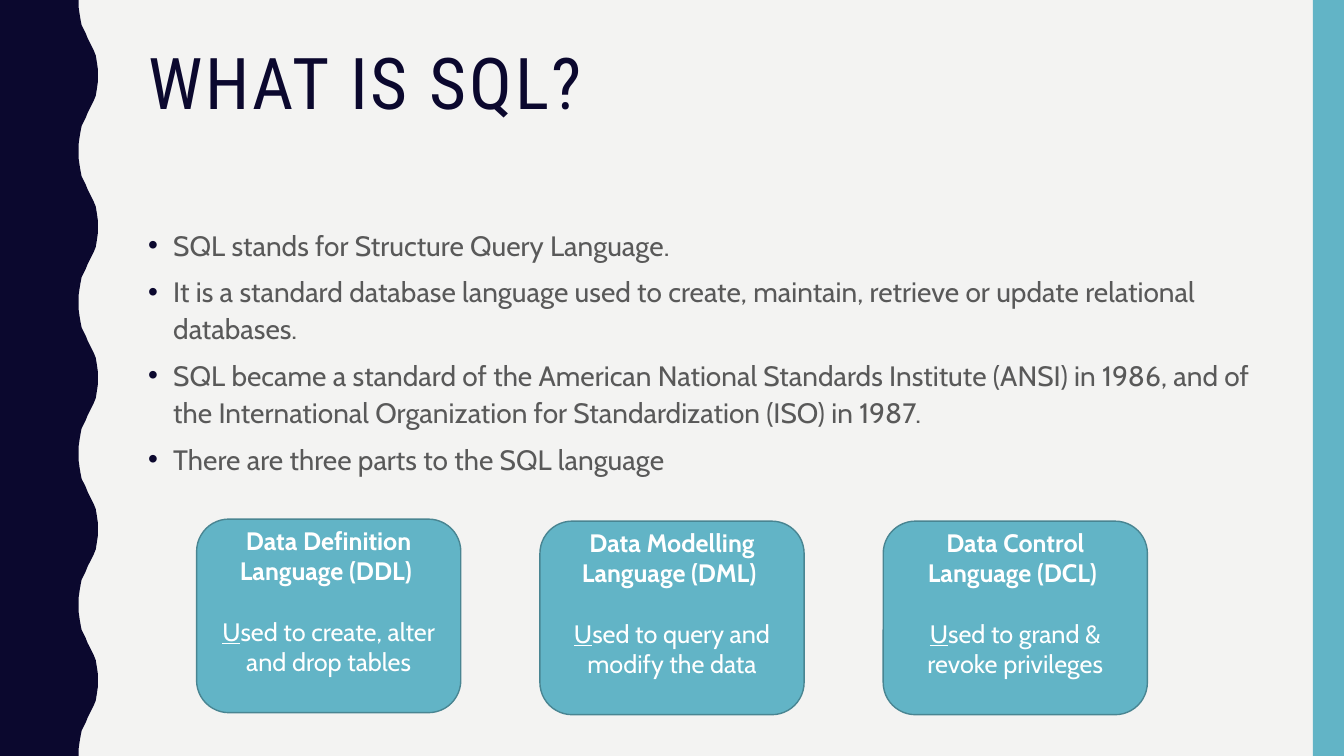
from collections import namedtuple

from lxml.etree import SubElement
from pptx import Presentation
from pptx.dml.color import RGBColor
from pptx.enum.shapes import MSO_SHAPE as SHAPE
from pptx.enum.text import MSO_ANCHOR as ANCHOR, PP_ALIGN as ALIGN
from pptx.oxml.ns import qn
from pptx.util import Inches, Pt

# Grid of square cells, 133.3 columns by 75 rows
CELL = 0.1
COLS, ROWS = 133.3, 75
Box = namedtuple("Box", "x y w h")

COLORS = {"paper": "F3F3F2", "navy": "0B082E", "teal": "62B4C6",
          "edge": "498592", "gray": "595959", "white": "FFFFFF"}
HEAD_FONT, BODY_FONT = "Roboto Condensed", "Cabin"

BULLETS = [
    "SQL stands for Structure Query Language.",
    "It is a standard database language used to create, maintain, "
    "retrieve or update relational databases.",
    "SQL became a standard of the American National Standards Institute "
    "(ANSI) in 1986, and of the International Organization for "
    "Standardization (ISO) in 1987.",
    "There are three parts to the SQL language",
]
# Name, use, and row offset of each card
PARTS = [
    ("Data Definition Language (DDL) ", "sed to create, alter and drop tables", 0),
    ("Data Modelling Language (DML) ", "sed to query and modify the data", 0.2),
    ("Data Control Language (DCL) ", "sed to grand & revoke privileges", 0.2),
]
# One half wave as (column, row); its mirror completes the wave
HALF_WAVE = [(7.8, 0), (7.8, 0.7), (7.9, 1.4), (8, 2), (8.1, 2.5), (8.3, 2.9),
             (8.5, 3.3), (8.7, 3.8), (8.9, 4.2), (9.1, 4.6), (9.3, 5),
             (9.5, 5.5), (9.6, 6.1), (9.7, 6.8), (9.7, 7.5)]
WAVE_ROWS = 15


def grid(n):
    return Inches(n * CELL)


def rgb(name):
    return RGBColor.from_string(COLORS[name])


def place(sp, box):
    sp.left, sp.top, sp.width, sp.height = map(grid, box)


def paint(sp, fill, line=None):
    sp.shadow.inherit = False
    sp.fill.solid()
    sp.fill.fore_color.rgb = rgb(fill)
    if line:
        sp.line.color.rgb = rgb(line)
        sp.line.width = Pt(1)
    else:
        sp.line.fill.background()


def add_run(p, text, size, color, font=BODY_FONT, bold=False, underline=False):
    r = p.add_run()
    r.text = text
    f = r.font
    f.size, f.name, f.bold, f.underline = Pt(size), font, bold, underline
    f.color.rgb = rgb(color)
    return r


def add_bullet(p):
    pPr = p._p.get_or_add_pPr()
    pPr.set("marL", str(Inches(0.25)))
    pPr.set("indent", str(Inches(-0.25)))
    color = SubElement(pPr, qn("a:buClr"))
    SubElement(color, qn("a:srgbClr"), val=COLORS["navy"])
    SubElement(pPr, qn("a:buFont"), typeface="Arial")
    SubElement(pPr, qn("a:buChar"), char="•")


def wavy_edge(s, box):
    mirror = [(x, WAVE_ROWS - y) for x, y in HALF_WAVE[-2::-1]]
    wave = HALF_WAVE + mirror
    points = [(box.x + x, box.y + n * WAVE_ROWS + y)
              for n in range(int(box.h / WAVE_ROWS)) for x, y in wave]
    points.append((box.x, box.y + box.h))
    fb = s.shapes.build_freeform(grid(box.x), grid(box.y))
    fb.add_line_segments([(grid(x), grid(y)) for x, y in points], close=True)
    paint(fb.convert_to_shape(), "navy")


def side_band(s, box):
    sp = s.shapes.add_shape(SHAPE.RECTANGLE, *map(grid, box))
    paint(sp, "teal")


def title(s, box):
    sp = s.shapes.title
    place(sp, box)
    tf = sp.text_frame
    tf.word_wrap = True
    tf.vertical_anchor = ANCHOR.TOP
    p = tf.paragraphs[0]
    p.alignment, p.line_spacing = ALIGN.LEFT, 0.9
    r = add_run(p, "WHAT IS SQL?", 51, "navy", HEAD_FONT)
    r.font._element.set("spc", "200")


def bullet_list(s, box):
    tf = s.shapes.add_textbox(*map(grid, box)).text_frame
    tf.word_wrap = True
    for i, text in enumerate(BULLETS):
        p = tf.add_paragraph() if i else tf.paragraphs[0]
        p.line_spacing, p.space_before = 1.1, Pt(7)
        add_bullet(p)
        add_run(p, text, 20, "gray")


def card(s, box, name, use):
    sp = s.shapes.add_shape(SHAPE.ROUNDED_RECTANGLE, *map(grid, box))
    paint(sp, "teal", "edge")
    tf = sp.text_frame
    tf.word_wrap = True
    tf.vertical_anchor = ANCHOR.MIDDLE
    tf.margin_bottom = Inches(0.35)
    head, body = tf.paragraphs[0], tf.add_paragraph()
    head.alignment = body.alignment = ALIGN.CENTER
    body.space_before = Pt(21.7)
    add_run(head, name, 18, "white", bold=True)
    add_run(body, "U", 18, "white", underline=True)
    add_run(body, use, 18, "white")


def card_row(s, box):
    width = 26.2
    step = (box.w - width) / (len(PARTS) - 1)
    for i, (name, use, drop) in enumerate(PARTS):
        card(s, Box(box.x + i * step, box.y + drop, width, box.h), name, use)


def sql_slide(prs):
    s = prs.slides.add_slide(prs.slide_layouts[5])
    s.background.fill.solid()
    s.background.fill.fore_color.rgb = rgb("paper")
    wavy_edge(s, Box(0, 0, 9.7, ROWS))
    side_band(s, Box(COLS - 3.1, 0, 3.1, ROWS))
    title(s, Box(13.7, 4.2, 111.3, 16.3))
    bullet_list(s, Box(13.7, 21.8, 111.3, 39.3))
    card_row(s, Box(19.5, 51.5, 94.3, 19.2))


prs = Presentation()
prs.slide_width, prs.slide_height = grid(COLS), grid(ROWS)
sql_slide(prs)
prs.save("out.pptx")
